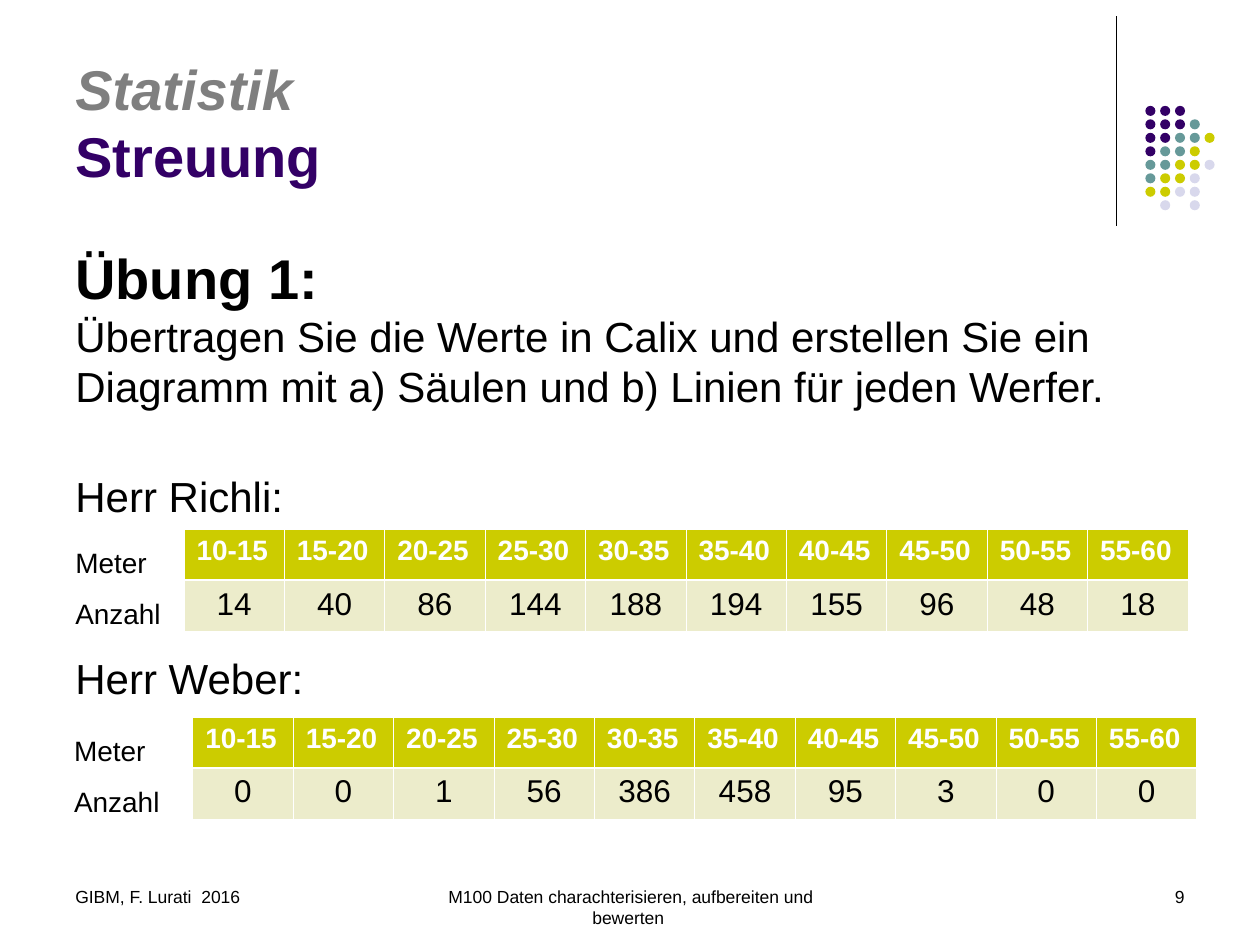
from lxml import etree
from pptx import Presentation
from pptx.dml.color import RGBColor
from pptx.enum.shapes import MSO_CONNECTOR, MSO_SHAPE
from pptx.enum.text import MSO_ANCHOR, PP_ALIGN
from pptx.oxml.ns import qn
from pptx.util import Inches, Pt

LEFT, CENTER, RIGHT = PP_ALIGN.LEFT, PP_ALIGN.CENTER, PP_ALIGN.RIGHT
TOP, BOTTOM = MSO_ANCHOR.TOP, MSO_ANCHOR.BOTTOM
OVAL, STRAIGHT = MSO_SHAPE.OVAL, MSO_CONNECTOR.STRAIGHT
COLORS = {
    "black": "000000", "white": "FFFFFF", "gray": "7F7F7F", "purple": "330066",
    "teal": "669999", "olive": "CCCC00", "lavender": "D8D8EC", "cream": "ECECCB",
}
DOT_COLORS = {"P": "purple", "T": "teal", "O": "olive", "L": "lavender"}
DOT_ROWS = ["PPP", "PPPT", "PPTTO", "PTTO", "TTOOL", "TOOL", "OOLL", ".L.L"]
DISTANCES = [f"{m}-{m + 5}" for m in range(10, 60, 5)]
RICHLI = [14, 40, 86, 144, 188, 194, 155, 96, 48, 18]
WEBER = [0, 0, 1, 56, 386, 458, 95, 3, 0, 0]


def rgb(name):
    """Return the named palette colour."""
    return RGBColor.from_string(COLORS[name])


def style(r, size, color="black", bold=False, italic=False):
    """Format one run."""
    r.font.name, r.font.size = "Arial", Pt(size)
    r.font.bold, r.font.italic = bold, italic
    r.font.color.rgb = rgb(color)


def add_text(s, box, paragraphs, styles, align=LEFT, anchor=TOP):
    """Add a wrapped text box, styling its runs in order, and return its frame."""
    tf = s.shapes.add_textbox(*map(Inches, box)).text_frame
    tf.word_wrap = True
    tf.vertical_anchor = anchor
    tf.text = "\n".join(paragraphs)
    for p in tf.paragraphs:
        p.alignment = align
    runs = [r for p in tf.paragraphs for r in p.runs]
    for r, run_style in zip(runs, styles):
        style(r, **run_style)
    return tf


def add_divider(s):
    """Draw the vertical line beside the title."""
    x = Inches(8.86)
    line = s.shapes.add_connector(STRAIGHT, x, Inches(0.13), x, Inches(1.79))
    line.line.color.rgb = rgb("black")
    line.line.width = Pt(0.75)
    etree.SubElement(line._element.spPr, qn("a:effectLst"))


def add_dots(s):
    """Draw the grouped grid of coloured dots."""
    group = s.shapes.add_group_shape()
    for row, codes in enumerate(DOT_ROWS):
        for col, code in enumerate(codes):
            if code not in DOT_COLORS:
                continue
            dot = group.shapes.add_shape(
                OVAL, Inches(9.09 + 0.1175 * col), Inches(0.84 + 0.107 * row),
                Inches(0.08), Inches(0.08))
            dot.shadow.inherit = False
            dot.fill.solid()
            dot.fill.fore_color.rgb = rgb(DOT_COLORS[code])
            dot.line.fill.background()


def set_borders(cell, widths):
    """Give a cell white borders with widths in points by side."""
    tcPr = cell._tc.get_or_add_tcPr()
    for i, (side, width) in enumerate(widths.items()):
        ln = etree.Element(qn(f"a:ln{side}"), w=str(Pt(width)))
        fill = etree.SubElement(ln, qn("a:solidFill"))
        etree.SubElement(fill, qn("a:srgbClr"), val=COLORS["white"])
        tcPr.insert(i, ln)


def fill_cell(cell, text, fill, align, text_style, widths):
    """Write and format one table cell."""
    cell.text = text
    cell.fill.solid()
    cell.fill.fore_color.rgb = rgb(fill)
    p = cell.text_frame.paragraphs[0]
    p.alignment = align
    style(p.runs[0], **text_style)
    set_borders(cell, widths)


def add_throws(s, x, y, label_x, counts):
    """Add a table of throws with its row labels."""
    table = s.shapes.add_table(2, len(counts), Inches(x), Inches(y),
                               Inches(7.97), Inches(0.81)).table
    head = dict(size=16, color="white", bold=True)
    for col, (distance, count) in enumerate(zip(DISTANCES, counts)):
        fill_cell(table.cell(0, col), distance, "olive", LEFT, head,
                  {"L": 0.45, "R": 0.45, "T": 0.45, "B": 1.47})
        fill_cell(table.cell(1, col), str(count), "cream", CENTER, dict(size=18),
                  {"L": 0.45, "R": 0.45, "T": 1.47, "B": 0.45})
    tf = add_text(s, (label_x, y - 0.06, 0.97, 0.91), ["Meter\vAnzahl"],
                  [dict(size=16)] * 2)
    tf.paragraphs[0].line_spacing = Pt(29.2)


def add_exercise(s):
    """Add the exercise text and the throwers' headings."""
    task = ("Übung 1:\vÜbertragen Sie die Werte in Calix und erstellen Sie ein "
            "Diagramm mit a) Säulen und b) Linien für jeden Werfer.")
    tf = add_text(s, (0.5, 1.88, 9, 4.82), [task, "Herr Richli:", "Herr Weber:"],
                  [dict(size=32, bold=True)] + [dict(size=24)] * 3)
    for p, space in zip(tf.paragraphs[1:], (34, 75)):
        p.space_before = Pt(space)


def add_footer(s):
    """Add author, course and page number."""
    for x, width, text, align in (
            (0.5, 2.33, "GIBM, F. Lurati\t2016", LEFT),
            (3.42, 3.17, "M100 Daten charachterisieren, aufbereiten und bewerten ", CENTER),
            (7.17, 2.33, "9", RIGHT)):
        add_text(s, (x, 6.98, width, 0.35), [text], [dict(size=10)], align)


def main():
    """Build and save the slide."""
    prs = Presentation()
    prs.slide_width, prs.slide_height = Inches(10), Inches(7.5)
    s = prs.slides.add_slide(prs.slide_layouts[6])
    add_divider(s)
    add_dots(s)
    add_text(s, (0.5, 0.13, 7.41, 1.42), ["Statistik\vStreuung"],
             [dict(size=32, color="gray", bold=True, italic=True),
              dict(size=32, color="purple", bold=True)], anchor=BOTTOM)
    add_exercise(s)
    add_footer(s)
    add_throws(s, 1.46, 4.2, 0.5, RICHLI)
    add_throws(s, 1.53, 5.69, 0.49, WEBER)
    prs.save("out.pptx")


if __name__ == "__main__":
    main()
